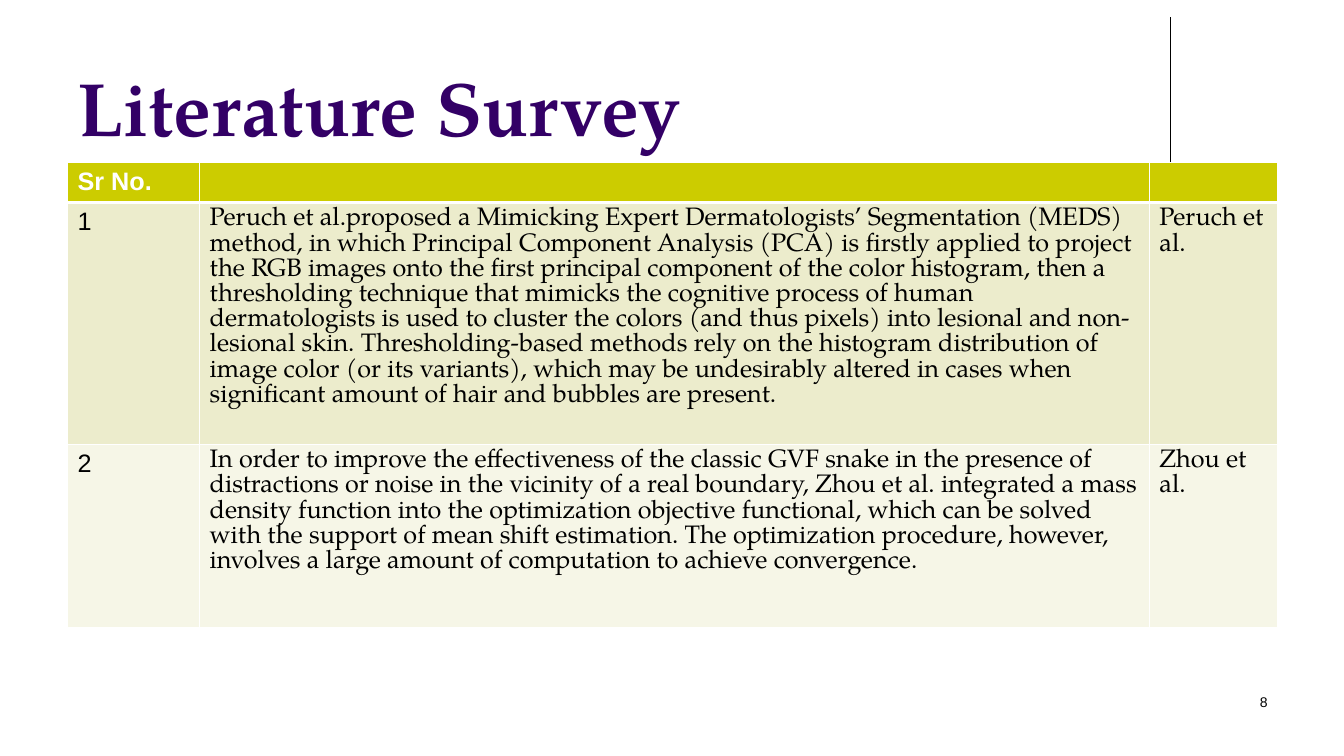
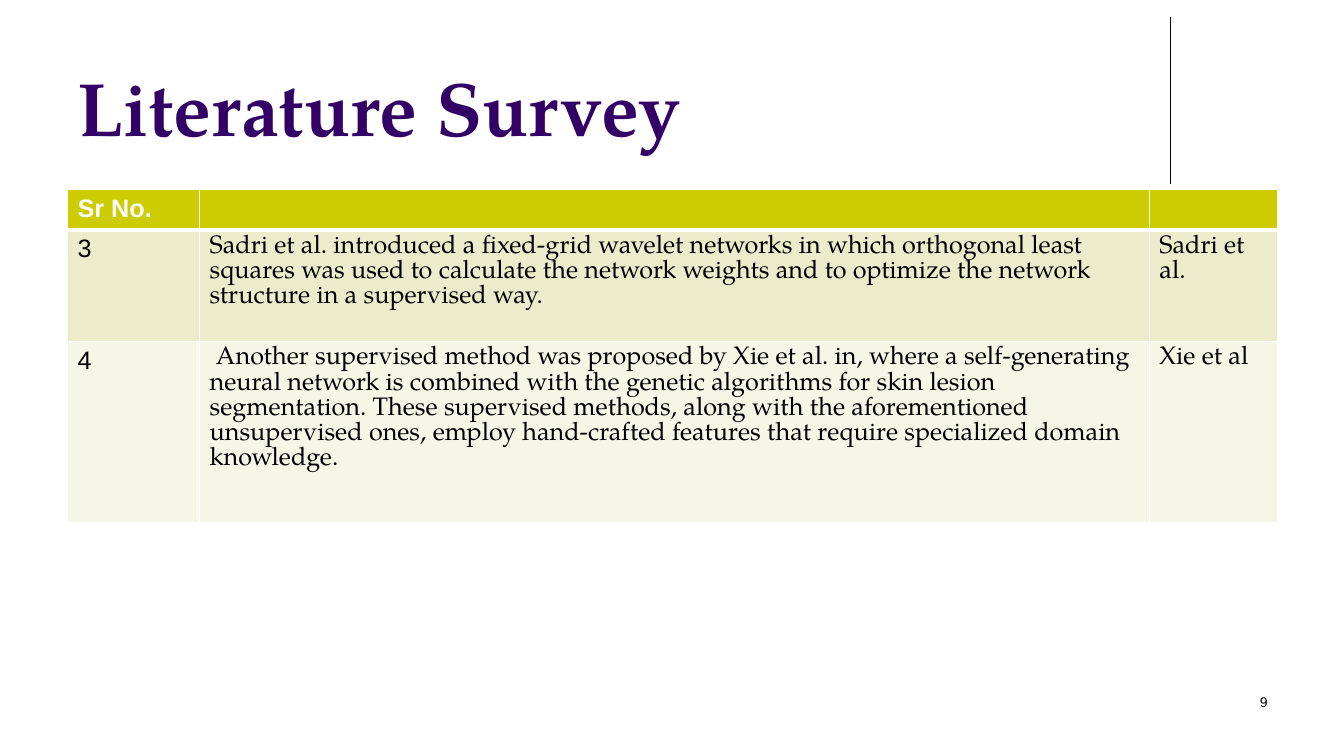
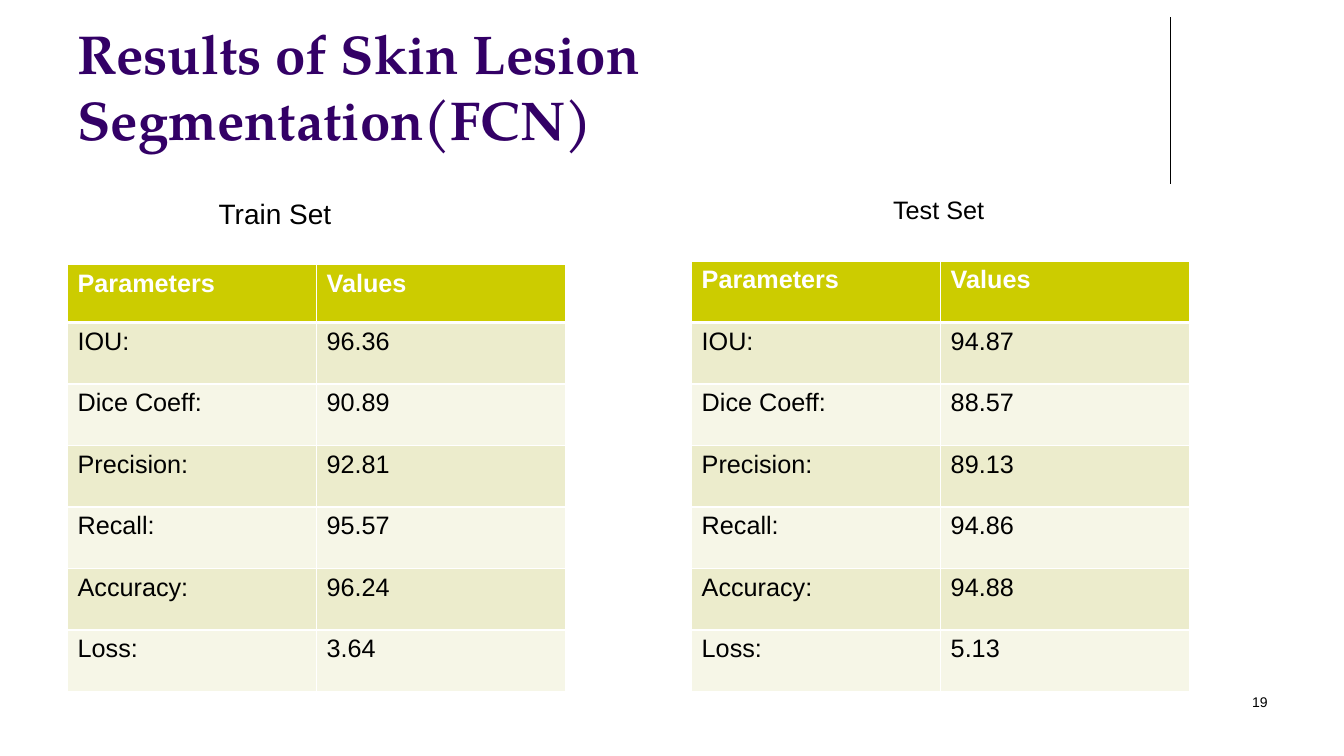
from lxml import etree
from pptx import Presentation
from pptx.dml.color import RGBColor
from pptx.enum.shapes import MSO_CONNECTOR
from pptx.enum.text import MSO_ANCHOR, PP_ALIGN
from pptx.oxml.ns import qn
from pptx.util import Inches, Pt

LINE = MSO_CONNECTOR.STRAIGHT
TOP, BOTTOM = MSO_ANCHOR.TOP, MSO_ANCHOR.BOTTOM
LEFT, RIGHT = PP_ALIGN.LEFT, PP_ALIGN.RIGHT

COLORS = {
    "title": "330066",
    "text": "000000",
    "white": "FFFFFF",
    "head": "CCCC00",
    "odd": "ECECCC",
    "even": "F6F6E7",
}
SANS, SERIF = "Arial", "TeX Gyre Pagella"
EDGE = 0.67

SURVEY_HEAD = ("Sr No.", "", "")
SURVEY_COLS = (1.31, 9.42, 1.27)
SURVEYS = [
    {
        "page": "8",
        "top": 1.61,
        "heights": (0.38, 2.4, 1.82),
        "rows": [
            ("1",
             "Peruch et al.proposed a Mimicking Expert Dermatologists’ Segmentation (MEDS) "
             "method, in which Principal Component Analysis (PCA) is firstly applied to project "
             "the RGB images onto the first principal component of the color histogram, then a "
             "thresholding technique that mimicks the cognitive process of human dermatologists "
             "is used to cluster the colors (and thus pixels) into lesional and non-lesional "
             "skin. Thresholding-based methods rely on the histogram distribution of image "
             "color (or its variants), which may be undesirably altered in cases when "
             "significant amount of hair and bubbles are present.",
             "Peruch et al."),
            ("2",
             "In order to improve the effectiveness of the classic GVF snake in the presence of "
             "distractions or noise in the vicinity of a real boundary, Zhou et al. integrated "
             "a mass density function into the optimization objective functional, which can be "
             "solved with the support of mean shift estimation. The optimization procedure, "
             "however, involves a large amount of computation to achieve convergence.",
             "Zhou et al."),
        ],
    },
    {
        "page": "9",
        "top": 1.88,
        "heights": (0.38, 1.11, 1.79),
        "rows": [
            ("3",
             "Sadri et al. introduced a fixed-grid wavelet networks in which orthogonal least "
             "squares was used to calculate the network weights and to optimize the network "
             "structure in a supervised way.",
             "Sadri et al."),
            ("4",
             " Another supervised method was proposed by Xie et al. in, where a self-generating "
             "neural network is combined with the genetic algorithms for skin lesion "
             "segmentation. These supervised methods, along with the aforementioned "
             "unsupervised ones, employ hand-crafted features that require specialized domain "
             "knowledge.",
             "Xie et al"),
        ],
    },
]

SCORE_HEAD = ("Parameters", "Values")
SCORE_COLS = (2.47, 2.47)
SCORE_ROW = 0.61
METRICS = ("IOU:", "Dice Coeff:", "Precision:", "Recall:", "Accuracy:", "Loss:")
SCORES = [
    {"name": "Train Set", "label": (2.07, 1.9), "size": 20,
     "left": EDGE, "top": 2.62, "head": 0.58,
     "values": ("96.36", "90.89", "92.81", "95.57", "96.24", "3.64")},
    {"name": "Test Set", "label": (8.76, 1.88), "size": 18,
     "left": 6.86, "top": 2.59, "head": 0.61,
     "values": ("94.87", "88.57", "89.13", "94.86", "94.88", "5.13")},
]


def color(name):
    return RGBColor.from_string(COLORS[name])


def write(frame, text, size=18, font=SANS, tint="text", bold=False, align=LEFT, pitch=None):
    para = frame.paragraphs[0]
    para.alignment = align
    if pitch:
        para.line_spacing = Pt(pitch)
    if text:
        para.add_run().text = text
    para.font.size = Pt(size)
    for run in para.runs:
        run.font.size = Pt(size)
        run.font.name = font
        run.font.bold = bold
        run.font.color.rgb = color(tint)


def add_text(slide, text, left, top, width, height, anchor=TOP, inset=0.1, **style):
    box = slide.shapes.add_textbox(Inches(left), Inches(top), Inches(width), Inches(height))
    frame = box.text_frame
    frame.word_wrap = True
    frame.vertical_anchor = anchor
    frame.margin_right = Inches(inset)
    write(frame, text, **style)


def add_border(cell, side, points):
    props = cell.fill._xPr
    line = etree.Element(qn("a:ln" + side), w=str(Pt(points)))
    fill = etree.SubElement(line, qn("a:solidFill"))
    etree.SubElement(fill, qn("a:srgbClr"), val=COLORS["white"])
    props.insert("LRTB".index(side), line)


def add_grid(slide, rows, left, top, widths, heights, serif=()):
    size = Inches(sum(widths)), Inches(sum(heights))
    table = slide.shapes.add_table(
        len(rows), len(widths), Inches(left), Inches(top), *size).table
    table.horz_banding = False
    for col, width in zip(table.columns, widths):
        col.width = Inches(width)
    for r, (row, height) in enumerate(zip(rows, heights)):
        table.rows[r].height = Inches(height)
        band = "head" if r == 0 else "odd" if r % 2 else "even"
        for c, text in enumerate(row):
            cell = table.cell(r, c)
            cell.fill.solid()
            cell.fill.fore_color.rgb = color(band)
            thick = {0: "B", 1: "T"}.get(r)
            for side in "LRTB":
                add_border(cell, side, 3 if side == thick else 1)
            style = {}
            if r == 0:
                style = {"tint": "white", "bold": True}
            elif c in serif:
                style = {"font": SERIF, "pitch": 18}
            write(cell.text_frame, text, **style)


def add_page(deck, title, page, size):
    slide = deck.slides.add_slide(deck.slide_layouts[6])
    rule = slide.shapes.add_connector(
        LINE, Inches(11.61), Inches(0.17), Inches(11.61), Inches(1.83))
    rule.line.color.rgb = color("text")
    rule.line.width = Pt(0.75)
    etree.SubElement(rule._element.spPr, qn("a:effectLst"))
    add_text(slide, title, EDGE, 0.13, 11, 1.42, anchor=BOTTOM, inset=0.2,
             size=size, font=SERIF, tint="title", bold=True)
    add_text(slide, page, 9.56, 6.83, 3.11, 0.5, size=10, align=RIGHT)
    return slide


def main():
    deck = Presentation()
    deck.slide_width, deck.slide_height = Inches(13.33), Inches(7.5)

    for part in SURVEYS:
        slide = add_page(deck, "Literature Survey", part["page"], 54)
        add_grid(slide, [SURVEY_HEAD] + part["rows"], EDGE, part["top"],
                 SURVEY_COLS, part["heights"], serif=(1, 2))

    slide = add_page(deck, "Results of Skin Lesion Segmentation(FCN)", "19", 39)
    for part in SCORES:
        add_text(slide, part["name"], *part["label"], 1.5, 0.4, size=part["size"])
        rows = [SCORE_HEAD] + list(zip(METRICS, part["values"]))
        heights = [part["head"]] + [SCORE_ROW] * len(METRICS)
        add_grid(slide, rows, part["left"], part["top"], SCORE_COLS, heights)

    deck.save("out.pptx")


if __name__ == "__main__":
    main()
